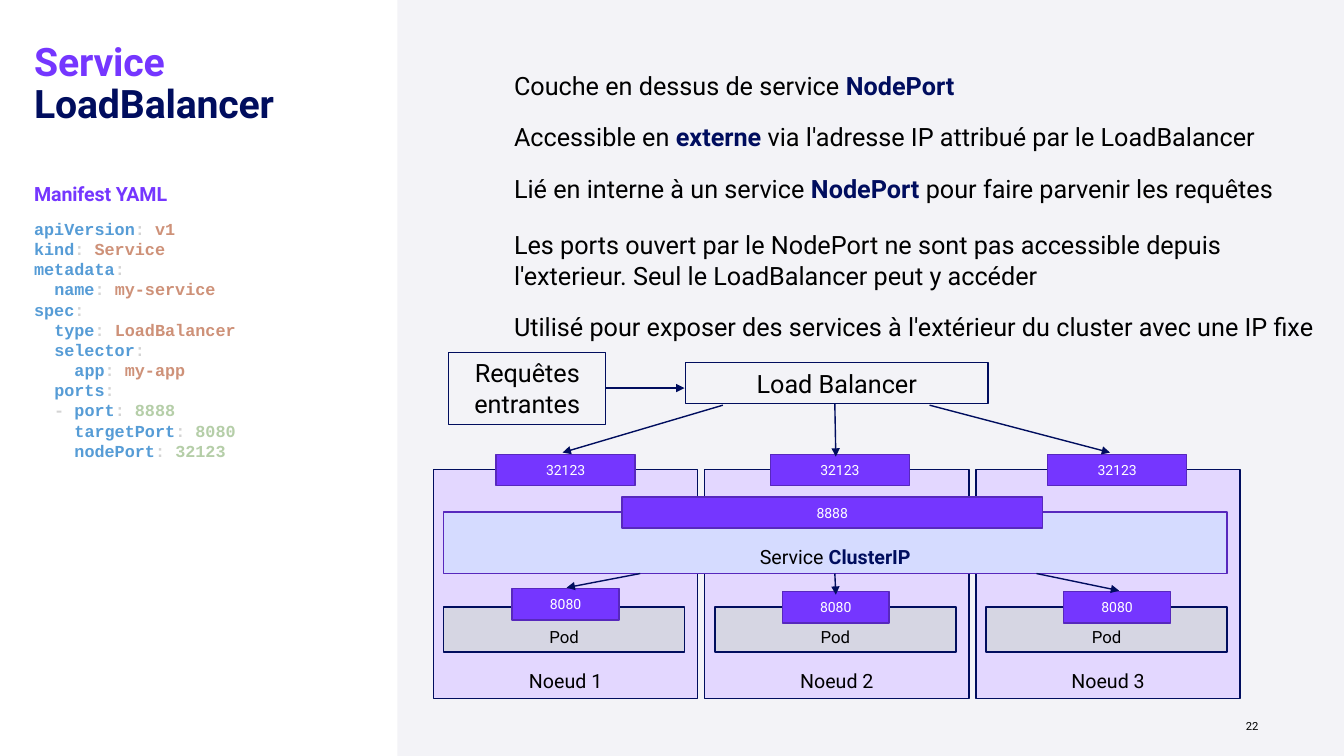
from lxml import etree
from pptx import Presentation
from pptx.dml.color import RGBColor
from pptx.enum import shapes, text
from pptx.oxml import ns
from pptx.util import Inches, Pt

WHITE = RGBColor(0xFF, 0xFF, 0xFF)
BLACK = RGBColor(0, 0, 0)
NAVY = RGBColor(0x00, 0x0D, 0x5E)
VIOLET = RGBColor(0x75, 0x36, 0xFF)
DARK_VIOLET = RGBColor(0x57, 0x28, 0xBD)
PANEL = RGBColor(0xF3, 0xF3, 0xF7)
NODE = RGBColor(0xE3, 0xD7, 0xFF)
POD = RGBColor(0xD6, 0xD6, 0xE3)
CLUSTER = RGBColor(0xD5, 0xDB, 0xFF)
YAML_KEY = RGBColor(0x56, 0x9C, 0xD6)
YAML_MARK = RGBColor(0xD4, 0xD4, 0xD4)
YAML_TEXT = RGBColor(0xCE, 0x91, 0x78)
YAML_NUMBER = RGBColor(0xB5, 0xCE, 0xA8)

CENTER = text.PP_ALIGN.CENTER
TOP = text.MSO_ANCHOR.TOP
MIDDLE = text.MSO_ANCHOR.MIDDLE
BOTTOM = text.MSO_ANCHOR.BOTTOM

PITCH = 2.69

STATEMENTS = [
    (0.65, 0.4, [("Couche en dessus de service ", BLACK, False), ("NodePort", NAVY, True)]),
    (1.15, 0.71, [("Accessible en ", BLACK, False), ("externe", NAVY, True),
                  (" via l'adresse IP attribué par le LoadBalancer", BLACK, False)]),
    (1.67, 0.71, [("Lié en interne à un service ", BLACK, False), ("NodePort ", NAVY, True),
                  ("pour faire parvenir les requêtes", BLACK, False)]),
    (2.23, 0.71, [("Les ports ouvert par le NodePort ne sont pas accessible depuis "
                   "l'exterieur. Seul le LoadBalancer peut y accéder", BLACK, False)]),
    (3.04, 0.4, [("Utilisé pour exposer des services à l'extérieur du cluster "
                  "avec une IP fixe", BLACK, False)]),
]

MANIFEST = [
    ("", "apiVersion", "v1"),
    ("", "kind", "Service"),
    ("", "metadata", ""),
    ("  ", "name", "my-service"),
    ("", "spec", ""),
    ("  ", "type", "LoadBalancer"),
    ("  ", "selector", ""),
    ("    ", "app", "my-app"),
    ("  ", "ports", ""),
    ("  - ", "port", "8888"),
    ("    ", "targetPort", "8080"),
    ("    ", "nodePort", "32123"),
]

NODE_PORTS = [4.92, 7.64, 10.39]
POD_PORTS = [(5.08, 5.84), (7.76, 5.87), (10.55, 5.87)]
ARROWS = [
    (6.35, 5.69, 5.62, 5.83),
    (8.28, 5.69, 8.29, 5.9),
    (10.28, 5.69, 11.1, 5.86),
    (7.17, 4.02, 5.58, 4.49),
    (8.28, 4.01, 8.29, 4.53),
    (9.22, 4.02, 11.01, 4.49),
    (6.01, 3.85, 6.79, 3.85),
]


def write_runs(paragraph, runs, size, font="Roboto"):
    for wording, color, bold in runs:
        run = paragraph.add_run()
        run.text = wording
        run.font.name = font
        run.font.size = Pt(size)
        run.font.bold = bold
        run.font.color.rgb = color


def add_text(slide, left, top, width, height, runs, size, align=text.PP_ALIGN.LEFT):
    box = slide.shapes.add_textbox(Inches(left), Inches(top), Inches(width), Inches(height))
    box.text_frame.word_wrap = True
    paragraph = box.text_frame.paragraphs[0]
    paragraph.alignment = align
    write_runs(paragraph, runs, size)
    return paragraph


def add_heading(slide, top, width, height, runs, size):
    paragraph = add_text(slide, 0.24, top, width, height, runs, size)
    paragraph.line_spacing = 0.9
    for run in paragraph.runs:
        run.font._element.set("spc", "-10")


def add_manifest(slide):
    box = slide.shapes.add_textbox(Inches(0.24), Inches(2.12), Inches(3), Inches(2.73))
    frame = box.text_frame
    frame.word_wrap = True
    for index, (indent, key, value) in enumerate(MANIFEST):
        paragraph = frame.add_paragraph() if index else frame.paragraphs[0]
        value_color = YAML_NUMBER if value.isdigit() else YAML_TEXT
        parts = [(indent, YAML_MARK, True), (key, YAML_KEY, True),
                 (": " if value else ":", YAML_MARK, True), (value, value_color, True)]
        write_runs(paragraph, [part for part in parts if part[0]], 12, "Courier New")


def add_box(slide, left, top, width, height, fill, line, runs=(), size=18,
            anchor=MIDDLE, line_width=1):
    shape = slide.shapes.add_shape(shapes.MSO_SHAPE.RECTANGLE, Inches(left), Inches(top),
                                   Inches(width), Inches(height))
    shape.shadow.inherit = False
    if fill is None:
        shape.fill.background()
    else:
        shape.fill.solid()
        shape.fill.fore_color.rgb = fill
    if line is None:
        shape.line.fill.background()
    else:
        shape.line.color.rgb = line
        shape.line.width = Pt(line_width)
    shape.text_frame.word_wrap = True
    shape.text_frame.vertical_anchor = anchor
    paragraph = shape.text_frame.paragraphs[0]
    paragraph.alignment = CENTER
    write_runs(paragraph, runs, size)


def add_port(slide, left, top, width, number):
    add_box(slide, left, top, width, 0.31, VIOLET, DARK_VIOLET, [(number, WHITE, False)], 10)


def add_arrow(slide, *ends):
    arrow = slide.shapes.add_connector(shapes.MSO_CONNECTOR.STRAIGHT, *map(Inches, ends))
    arrow.line.color.rgb = NAVY
    arrow.line.width = Pt(1)
    etree.SubElement(arrow.line._get_or_add_ln(), ns.qn("a:tailEnd"), type="triangle")
    etree.SubElement(arrow._element.spPr, ns.qn("a:effectLst"))


def add_cluster(slide):
    for index in range(3):
        left = 4.3 + index * PITCH
        add_box(slide, left, 4.66, 2.62, 2.27, NODE, NAVY)
        add_box(slide, left + 0.1, 6.02, 2.39, 0.45, POD, NAVY,
                [("Pod", BLACK, False)], 12, BOTTOM)
        add_text(slide, left, 6.59, 2.62, 0.34,
                 [(f"Noeud {index + 1}", BLACK, False)], 14, CENTER)
    add_box(slide, 4.4, 5.08, 7.77, 0.61, CLUSTER, DARK_VIOLET,
            [("Service ", BLACK, False), ("ClusterIP", NAVY, True)], 14, BOTTOM)
    for left, top in POD_PORTS:
        add_port(slide, left, top, 1.06, "8080")
    add_port(slide, 6.17, 4.93, 4.17, "8888")
    for left in NODE_PORTS:
        add_port(slide, left, 4.51, 1.38, "32123")


def main():
    presentation = Presentation()
    presentation.slide_width = Inches(13.33)
    presentation.slide_height = Inches(7.5)
    slide = presentation.slides.add_slide(presentation.slide_layouts[6])

    add_box(slide, 3.94, 0, 9.39, 7.5, PANEL, None)
    add_heading(slide, 0.37, 3.48, 1.75,
                [("Service ", VIOLET, True), ("LoadBalancer", NAVY, True)], 28)
    add_heading(slide, 1.78, 1.89, 0.34, [("Manifest YAML", VIOLET, True)], 14)
    add_manifest(slide)
    for top, height, runs in STATEMENTS:
        add_text(slide, 5, top, 8.32, height, runs, 18)

    add_cluster(slide)
    add_box(slide, 6.8, 3.6, 3, 0.4, None, NAVY,
            [("Load Balancer", BLACK, False)], 18, TOP, 0.75)
    add_box(slide, 4.45, 3.5, 1.56, 0.71, None, NAVY,
            [("Requêtes entrantes", BLACK, False)], 18, TOP, 0.75)
    for ends in ARROWS:
        add_arrow(slide, *ends)
    add_text(slide, 9.58, 7.09, 3, 0.26, [("22", BLACK, False)], 8, text.PP_ALIGN.RIGHT)
    presentation.save("out.pptx")


if __name__ == "__main__":
    main()
